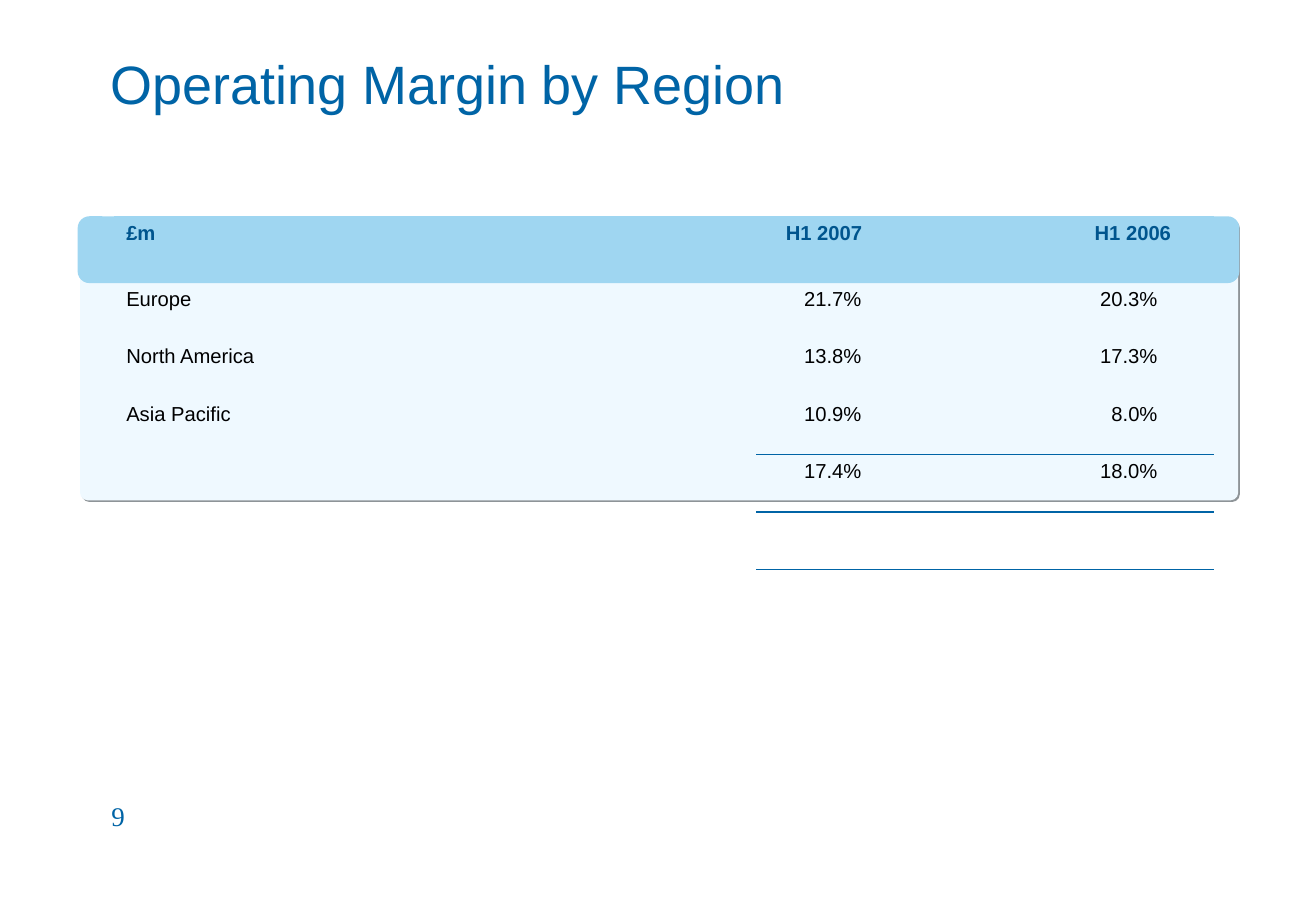
from dataclasses import dataclass

from lxml import etree
from pptx import Presentation
from pptx import util as u
from pptx.dml.color import RGBColor
from pptx.enum import shapes, text
from pptx.oxml.ns import qn


@dataclass(frozen=True)
class Theme:
    blue: str = "0064A6"
    header_blue: str = "00558E"
    black: str = "000000"
    bar: str = "9FD6F1"
    panel: str = "EFF9FF"
    shadow: str = "8E9498"
    sans: str = "Arial"
    serif: str = "Times New Roman"
    title_size: float = 32
    table_size: float = 12
    number_size: float = 16


HEADER = {0: "£m", 4: "H1 2007", 6: "H1 2006"}
MARGINS = [
    ("Europe", "21.7%", "20.3%"),
    ("North America", "13.8%", "17.3%"),
    ("Asia Pacific", "10.9%", "8.0%"),
    ("", "17.4%", "18.0%"),
    ("", "", ""),
    ("", "", ""),
]
COLUMN_WIDTHS = [95, 95, 95.8, 95, 80.6, 95, 95.8]
HEADER_HEIGHT, ROW_HEIGHT = 38.9, 34.1
TABLE_LEFT, TABLE_TOP = 67.7, 128.2
VALUE_COLUMNS = (4, 6)
TOTAL_ROW = 4
DECIMAL_TAB = 34.6
NO_GRID_STYLE = "{2D5ABB26-0587-4C30-8999-92F81FD0307C}"


def add_color(parent, color):
    fill = etree.SubElement(parent, qn("a:solidFill"))
    etree.SubElement(fill, qn("a:srgbClr"), val=color)


class SlideBuilder:
    def __init__(self, page, theme):
        self.page = page
        self.theme = theme

    def add_span(self, para, words, size, color, font, bold=False):
        span = para.add_run()
        span.text = words
        span.font.size = u.Pt(size)
        span.font.name = font
        span.font.bold = bold
        span.font.color.rgb = RGBColor.from_string(color)

    def text_box(self, area, words, size, font, anchor=text.MSO_ANCHOR.TOP):
        box = self.page.shapes.add_textbox(*map(u.Pt, area))
        box.text_frame.word_wrap = True
        box.text_frame.vertical_anchor = anchor
        self.add_span(box.text_frame.paragraphs[0], words, size, self.theme.blue, font)

    def rounded_box(self, area, corner, color):
        box = self.page.shapes.add_shape(
            shapes.MSO_SHAPE.ROUNDED_RECTANGLE, *map(u.Pt, area))
        box.adjustments[0] = corner
        box.fill.solid()
        box.fill.fore_color.rgb = RGBColor.from_string(color)
        box.line.fill.background()
        box.shadow.inherit = False
        return box

    def drop_shadow(self, box, distance):
        """Cast a hard shadow towards the lower right."""
        effects = box._element.spPr.find(qn("a:effectLst"))
        shadow = etree.SubElement(
            effects, qn("a:outerShdw"), blurRad="0", dist=str(u.Pt(distance)),
            dir="2700000", algn="ctr", rotWithShape="0")
        etree.SubElement(shadow, qn("a:srgbClr"), val=self.theme.shadow)

    def table(self, left, top, widths, heights):
        frame = self.page.shapes.add_table(
            len(heights), len(widths), u.Pt(left), u.Pt(top),
            u.Pt(sum(widths)), u.Pt(sum(heights)))
        table = frame.table
        table.first_row = table.horz_banding = False
        table._tbl.tblPr.find(qn("a:tableStyleId")).text = NO_GRID_STYLE
        for column, width in zip(table.columns, widths):
            column.width = u.Pt(width)
        for row, height in zip(table.rows, heights):
            row.height = u.Pt(height)
            for cell in row.cells:
                cell.fill.background()
        return table

    def cell_text(self, cell, words, color, bold=False):
        para = cell.text_frame.paragraphs[0]
        para.space_before = u.Pt(3)
        self.add_span(para, words, self.theme.table_size, color, self.theme.sans, bold)
        return para

    def decimal_text(self, cell, words):
        """Line the figure up on its decimal point."""
        para = self.cell_text(cell, "\t" + words, self.theme.black)
        stops = etree.SubElement(para._p.get_or_add_pPr(), qn("a:tabLst"))
        etree.SubElement(stops, qn("a:tab"), pos=str(u.Pt(DECIMAL_TAB)), algn="dec")

    def rule(self, table, row, columns, width):
        """Draw a border between the given row and the one below."""
        for column in columns:
            for index, side in ((row, "a:lnB"), (row + 1, "a:lnT")):
                properties = table.cell(index, column)._tc.get_or_add_tcPr()
                line = etree.Element(qn(side), w=str(u.Pt(width)))
                add_color(line, self.theme.blue)
                properties.insert(1 if properties.find(qn("a:lnT")) is not None else 0, line)


def add_margin_table(builder):
    theme = builder.theme
    table = builder.table(TABLE_LEFT, TABLE_TOP, COLUMN_WIDTHS,
                          [HEADER_HEIGHT] + [ROW_HEIGHT] * len(MARGINS))
    for cell in table.rows[0].cells:
        cell.fill.solid()
        cell.fill.fore_color.rgb = RGBColor.from_string(theme.bar)
    for column, label in HEADER.items():
        para = builder.cell_text(table.cell(0, column), label, theme.header_blue, True)
        if column in VALUE_COLUMNS:
            para.alignment = text.PP_ALIGN.CENTER

    for row, (region, *values) in enumerate(MARGINS, start=1):
        table.cell(row, 0).merge(table.cell(row, 2))
        if region:
            builder.cell_text(table.cell(row, 0), region, theme.black)
        for column, value in zip(VALUE_COLUMNS, values):
            if value:
                builder.decimal_text(table.cell(row, column), value)

    builder.rule(table, TOTAL_ROW - 1, range(4, 7), 0.45)
    builder.rule(table, TOTAL_ROW, range(4, 7), 1.08)


def main():
    deck = Presentation()
    deck.slide_width, deck.slide_height = u.Pt(780.48), u.Pt(540)
    theme = Theme()
    builder = SlideBuilder(deck.slides.add_slide(deck.slide_layouts[6]), theme)

    panel = builder.rounded_box((47.5, 129.6, 686.9, 167), 0.028, theme.panel)
    builder.drop_shadow(panel, 1.4)
    builder.rounded_box((46.1, TABLE_TOP, 689, 39.6), 0.176, theme.bar)
    builder.text_box((58.3, 4.3, 663.1, 90), "Operating Margin by Region",
                     theme.title_size, theme.sans, text.MSO_ANCHOR.MIDDLE)
    add_margin_table(builder)
    builder.text_box((59, 470.2, 162.7, 36), "9", theme.number_size, theme.serif)
    deck.save("out.pptx")


if __name__ == "__main__":
    main()
